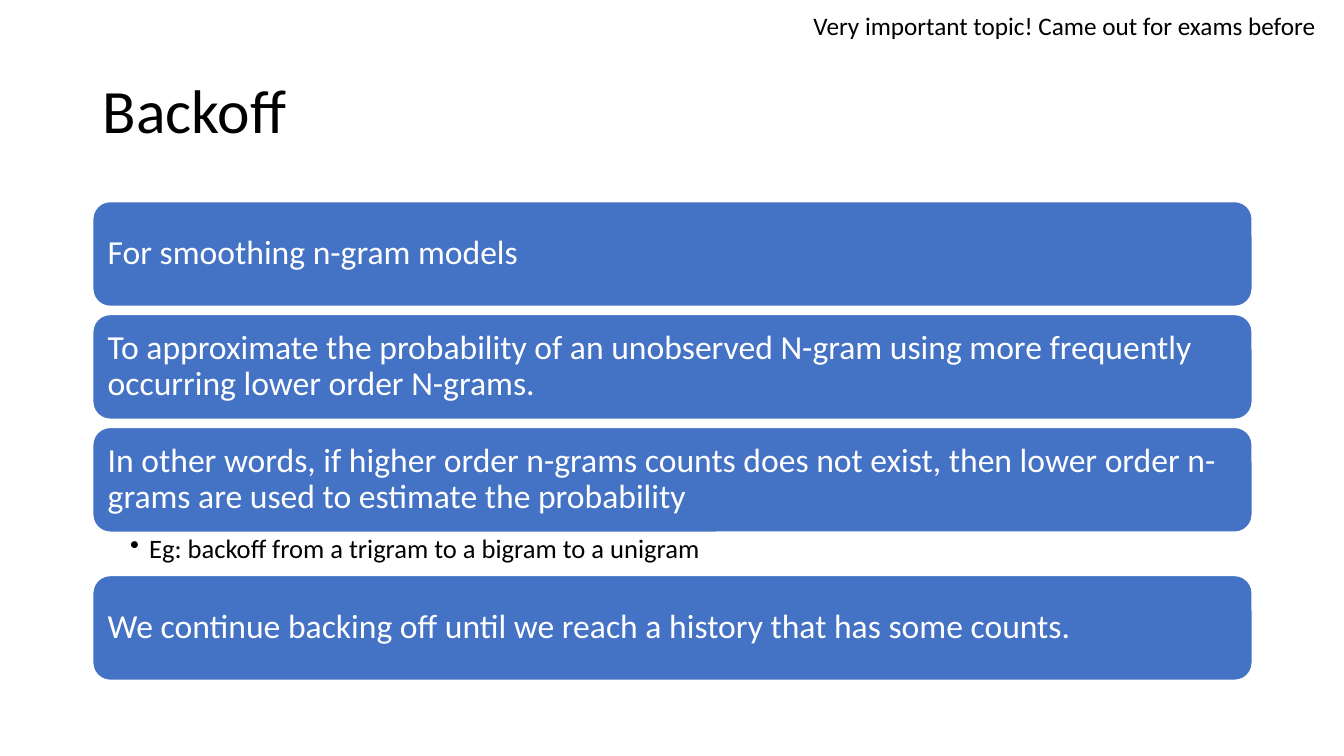
from lxml import etree
from pptx import Presentation
from pptx.dml.color import RGBColor
from pptx.enum.shapes import MSO_SHAPE
from pptx.enum.text import MSO_ANCHOR, MSO_AUTO_SIZE, PP_ALIGN
from pptx.oxml.ns import qn
from pptx.util import Inches, Pt

BLACK, WHITE, BLUE = "000000", "FFFFFF", "4472C4"
LEFT, WIDTH = 0.92, 11.5
CARD_HEIGHT, CARD_GAP, NOTE_HEIGHT = 1.04, 0.08, 0.43

# Each card: its statement and an optional example below it
CARDS = [
    ("For smoothing n-gram models", None),
    ("To approximate the probability of an unobserved N-gram using more "
     "frequently occurring lower order N-grams.", None),
    ("In other words, if higher order n-grams counts does not exist, then "
     "lower order n-grams are used to estimate the probability",
     "Eg: backoff from a trigram to a bigram to a unigram"),
    ("We continue backing off until we reach a history that has some counts.",
     None),
]


def color(hex_value):
    return RGBColor.from_string(hex_value)


def write(box, text, size, ink=BLACK, anchor=MSO_ANCHOR.TOP, wrap=True,
          spacing=None, insets=(0.1, 0.05, 0.1, 0.05), bullet_indent=None):
    """Fill a shape with one paragraph; insets run left, top, right, bottom."""
    frame = box.text_frame
    frame.auto_size = MSO_AUTO_SIZE.NONE
    frame.word_wrap = wrap
    frame.vertical_anchor = anchor
    (frame.margin_left, frame.margin_top,
     frame.margin_right, frame.margin_bottom) = map(Inches, insets)
    para = frame.paragraphs[0]
    para.alignment = PP_ALIGN.LEFT
    para.line_spacing = spacing
    if bullet_indent:
        properties = para._p.get_or_add_pPr()
        properties.set("marL", str(Inches(bullet_indent)))
        properties.set("indent", str(-Inches(bullet_indent)))
        etree.SubElement(properties, qn("a:buChar")).set("char", "•")
    span = para.add_run()
    span.text = text
    span.font.name = "Calibri"
    span.font.size = Pt(size)
    span.font.color.rgb = color(ink)


def add_title(page, text, left, top, width, height):
    title = page.shapes.title
    title.left, title.top = Inches(left), Inches(top)
    title.width, title.height = Inches(width), Inches(height)
    write(title, text, 44, anchor=MSO_ANCHOR.MIDDLE, spacing=0.9)


def add_remark(page, text, left, top, width, height):
    box = page.shapes.add_textbox(*map(Inches, (left, top, width, height)))
    write(box, text, 18, wrap=False)


def add_card(page, text, left, top, width, height):
    card = page.shapes.add_shape(MSO_SHAPE.ROUNDED_RECTANGLE,
                                 *map(Inches, (left, top, width, height)))
    card.shadow.inherit = False
    card.fill.solid()
    card.fill.fore_color.rgb = color(BLUE)
    card.line.color.rgb = color(WHITE)
    card.line.width = Pt(1)
    write(card, text, 24, ink=WHITE, anchor=MSO_ANCHOR.MIDDLE, spacing=0.9,
          insets=(0.1, 0.1, 0.1, 0.1))


def add_example(page, text, left, top, width, height):
    box = page.shapes.add_textbox(*map(Inches, (left, top, width, height)))
    write(box, text, 19, spacing=0.9, insets=(0.37, 0.03, 0.19, 0.03),
          bullet_indent=0.19)


def add_card_list(page, cards, left, top, width):
    """Stack the cards; an example takes the place of the gap below its card."""
    for statement, example in cards:
        add_card(page, statement, left, top, width, CARD_HEIGHT)
        top += CARD_HEIGHT
        if example:
            add_example(page, example, left, top, width, NOTE_HEIGHT)
            top += NOTE_HEIGHT
        else:
            top += CARD_GAP


def main():
    deck = Presentation()
    deck.slide_width, deck.slide_height = Inches(13.33), Inches(7.5)
    page = deck.slides.add_slide(deck.slide_layouts.get_by_name("Title Only"))
    add_title(page, "Backoff", LEFT, 0.4, WIDTH, 1.45)
    add_card_list(page, CARDS, LEFT, 2, WIDTH)
    add_remark(page, "Very important topic! Came out for exams before",
               7.97, 0.05, 5.37, 0.4)
    deck.save("out.pptx")


if __name__ == "__main__":
    main()
